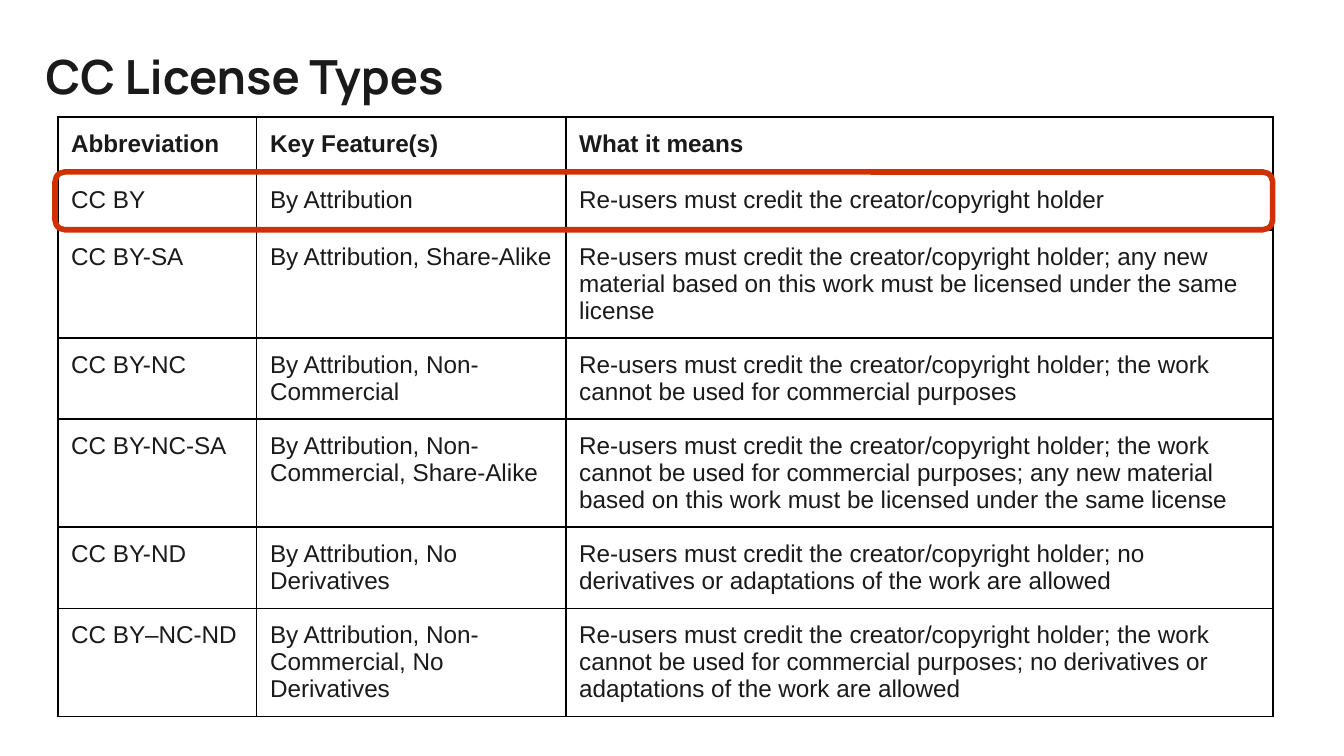
from dataclasses import dataclass
from typing import NamedTuple

from lxml.etree import SubElement
from pptx import Presentation
from pptx.dml.color import RGBColor
from pptx.enum.shapes import MSO_SHAPE as Shape
from pptx.enum.text import MSO_ANCHOR as Anchor, MSO_AUTO_SIZE as AutoSize, PP_ALIGN as Align
from pptx.oxml.ns import qn
from pptx.util import Inches, Pt


@dataclass(frozen=True)
class Theme:
    ink: str = "1A1A1A"
    border: str = "000000"
    highlight: str = "D03100"
    title_font: str = "Manrope"
    body_font: str = "Arial"
    title_size: float = 25.2
    body_size: float = 13
    border_width: float = 1
    highlight_width: float = 3
    inset: float = 0.1


class Box(NamedTuple):
    left: float
    top: float
    width: float
    height: float

    def lengths(self) -> tuple:
        return tuple(Inches(value) for value in self)


class License(NamedTuple):
    abbreviation: str
    features: str
    meaning: str


THEME = Theme()
SLIDE_WIDTH = 10
SLIDE_HEIGHT = SLIDE_WIDTH * 9 / 16
TITLE_BOX = Box(0.24, 0.25, 9.32, 0.62)
TABLE_LEFT, TABLE_TOP = 0.43, 0.87
COLUMN_WIDTHS = (1.48, 2.3, 5.26)
ROW_HEIGHT = 0.42
HIGHLIGHTED_ROW = 1
HIGHLIGHT_OUTSET = 0.02

CREDIT = "Re-users must credit the creator/copyright holder"
SAME_LICENSE = "any new material based on this work must be licensed under the same license"
NON_COMMERCIAL = "the work cannot be used for commercial purposes"
NO_DERIVATIVES = "no derivatives or adaptations of the work are allowed"

HEADER = License("Abbreviation", "Key Feature(s)", "What it means")
LICENSES = (
    License("CC BY", "By Attribution", CREDIT),
    License("CC BY-SA", "By Attribution, Share-Alike", f"{CREDIT}; {SAME_LICENSE}"),
    License("CC BY-NC", "By Attribution, Non-Commercial", f"{CREDIT}; {NON_COMMERCIAL}"),
    License("CC BY-NC-SA", "By Attribution, Non-Commercial, Share-Alike",
            f"{CREDIT}; {NON_COMMERCIAL}; {SAME_LICENSE}"),
    License("CC BY-ND", "By Attribution, No Derivatives", f"{CREDIT}; {NO_DERIVATIVES}"),
    License("CC BY–NC-ND", "By Attribution, Non-Commercial, No Derivatives",
            f"{CREDIT}; {NON_COMMERCIAL}; {NO_DERIVATIVES}"),
)


def set_text(text_frame, text: str, font_name: str, size: float, bold: bool) -> None:
    text_frame.text = text
    paragraph = text_frame.paragraphs[0]
    paragraph.alignment = Align.LEFT
    font = paragraph.runs[0].font
    font.name, font.size, font.bold = font_name, Pt(size), bold
    font.color.rgb = RGBColor.from_string(THEME.ink)


def set_insets(target) -> None:
    """Give a cell or text frame the same margin on every side."""
    for side in ("left", "right", "top", "bottom"):
        setattr(target, f"margin_{side}", Inches(THEME.inset))


def add_borders(cell) -> None:
    properties = cell._tc.get_or_add_tcPr()
    for side in ("lnL", "lnR", "lnT", "lnB"):
        line = SubElement(properties, qn(f"a:{side}"), w=str(Pt(THEME.border_width)))
        fill = SubElement(line, qn("a:solidFill"))
        SubElement(fill, qn("a:srgbClr"), val=THEME.border)


def format_title(title) -> None:
    title.left, title.top, title.width, title.height = TITLE_BOX.lengths()
    text_frame = title.text_frame
    set_text(text_frame, "CC License Types", THEME.title_font, THEME.title_size, True)
    set_insets(text_frame)
    text_frame.word_wrap = True
    text_frame.auto_size = AutoSize.NONE
    text_frame.vertical_anchor = Anchor.MIDDLE


def add_license_table(slide) -> None:
    rows = (HEADER, *LICENSES)
    box = Box(TABLE_LEFT, TABLE_TOP, sum(COLUMN_WIDTHS), ROW_HEIGHT * len(rows))
    table = slide.shapes.add_table(len(rows), len(COLUMN_WIDTHS), *box.lengths()).table
    table.first_row = table.horz_banding = False
    for column, width in zip(table.columns, COLUMN_WIDTHS):
        column.width = Inches(width)
    for row, entry in zip(table.rows, rows):
        row.height = Inches(ROW_HEIGHT)
        for cell, text in zip(row.cells, entry):
            set_text(cell.text_frame, text, THEME.body_font, THEME.body_size, entry is HEADER)
            set_insets(cell)
            cell.vertical_anchor = Anchor.TOP
            add_borders(cell)
            cell.fill.background()


def add_row_highlight(slide) -> None:
    box = Box(TABLE_LEFT - HIGHLIGHT_OUTSET,
              TABLE_TOP + HIGHLIGHTED_ROW * ROW_HEIGHT - HIGHLIGHT_OUTSET / 2,
              sum(COLUMN_WIDTHS) + HIGHLIGHT_OUTSET,
              ROW_HEIGHT + HIGHLIGHT_OUTSET / 2)
    shape = slide.shapes.add_shape(Shape.ROUNDED_RECTANGLE, *box.lengths())
    shape.adjustments[0] = 0.17
    shape.shadow.inherit = False
    shape.fill.background()
    shape.line.color.rgb = RGBColor.from_string(THEME.highlight)
    shape.line.width = Pt(THEME.highlight_width)


def main() -> None:
    presentation = Presentation()
    presentation.slide_width = Inches(SLIDE_WIDTH)
    presentation.slide_height = Inches(SLIDE_HEIGHT)
    slide = presentation.slides.add_slide(presentation.slide_layouts[5])
    format_title(slide.shapes.title)
    add_license_table(slide)
    add_row_highlight(slide)
    presentation.save("out.pptx")


if __name__ == "__main__":
    main()
